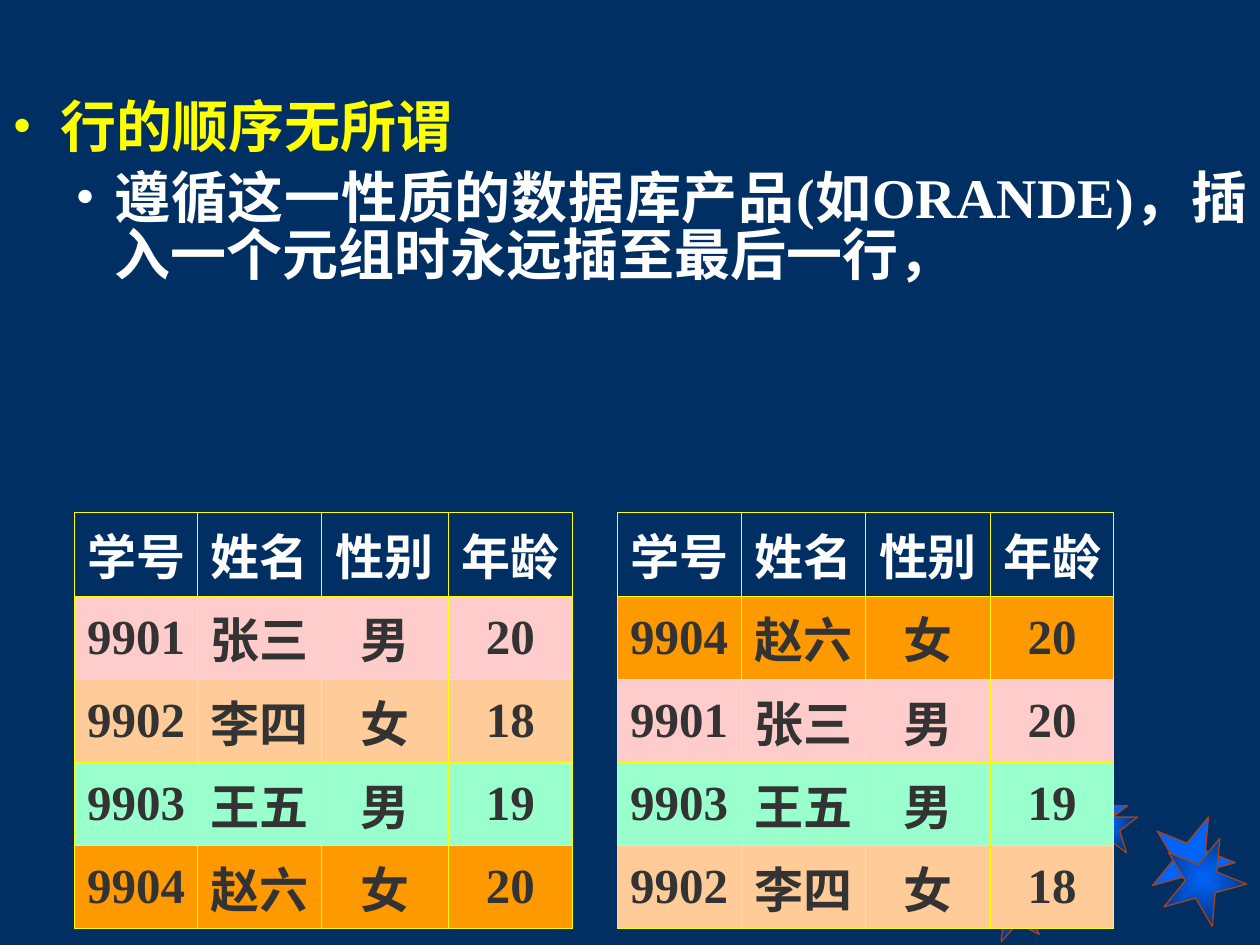
from lxml.etree import SubElement
from pptx import Presentation
from pptx.dml.color import RGBColor
from pptx.enum.shapes import MSO_SHAPE
from pptx.enum.text import MSO_ANCHOR, PP_ALIGN
from pptx.oxml.ns import qn
from pptx.util import Inches, Pt

FONT = "Times New Roman"
NAVY, YELLOW, WHITE, DARK = "003063", "FFFF00", "FFFFFF", "333333"
STAR_BLUE, STAR_NAVY, STAR_LINE = "0064F8", "002E72", "A94113"
HEADER = ("学号", "姓名", "性别", "年龄")
STUDENTS = {
    "9901": ("张三", "男", "20", "FFCCCC"),
    "9902": ("李四", "女", "18", "FFCC99"),
    "9903": ("王五", "男", "19", "99FFCC"),
    "9904": ("赵六", "女", "20", "FF9900"),
}
TABLE_TOP, ROW_HEIGHT = 4.07, 0.66
BACK_STARS = ((7.66, 6.84, 0.5, 349), (8.49, 6.22, 0.46, 0), (9.13, 6.46, 0.67, 22))
FRONT_STARS = ((7.8, 6.95, 0.5, 349), (8.57, 6.31, 0.46, 0), (9.22, 6.63, 0.67, 22))


def color(value):
    """Return the colour for a hex string."""
    return RGBColor.from_string(value)


def write_text(paragraph, text, size=28, fill=WHITE, align=PP_ALIGN.CENTER):
    """Write bold text into a paragraph."""
    paragraph.alignment = align
    run = paragraph.add_run()
    run.text = text
    run.font.name = FONT
    run.font.size = Pt(size)
    run.font.bold = True
    run.font.color.rgb = color(fill)


def add_bullet(paragraph, fill, margin, indent):
    """Give a paragraph a coloured bullet and a hanging indent."""
    properties = paragraph._p.get_or_add_pPr()
    properties.set("marL", str(Inches(margin)))
    properties.set("indent", str(Inches(indent)))
    bullet_color = SubElement(properties, qn("a:buClr"))
    SubElement(bullet_color, qn("a:srgbClr"), val=fill)
    SubElement(properties, qn("a:buFont"), typeface=FONT)
    SubElement(properties, qn("a:buChar"), char="•")


def add_body(slide):
    """Add the two bulleted statements."""
    frame = slide.shapes.add_textbox(0, Inches(0.76), Inches(10), Inches(6.74)).text_frame
    frame.word_wrap = True
    heading, detail = frame.paragraphs[0], frame.add_paragraph()
    add_bullet(heading, YELLOW, 0.38, -0.38)
    add_bullet(detail, WHITE, 0.81, -0.31)
    detail.level = 1
    detail.space_before = Pt(8)
    heading.line_spacing = detail.line_spacing = 0.85
    write_text(heading, "行的顺序无所谓", size=32, fill=YELLOW, align=PP_ALIGN.JUSTIFY)
    write_text(
        detail,
        "遵循这一性质的数据库产品(如ORANDE)，插入一个元组时永远插至最后一行，",
        size=32,
        align=PP_ALIGN.JUSTIFY,
    )


def fill_from_center(shape):
    """Fill a shape with a rectangular gradient around its centre."""
    shape.fill.gradient()
    for stop, value in zip(shape.fill.gradient_stops, (STAR_BLUE, STAR_NAVY)):
        stop.color.rgb = color(value)
    gradient = shape._element.spPr.find(qn("a:gradFill"))
    gradient.remove(gradient.find(qn("a:lin")))
    rectangle = SubElement(gradient, qn("a:path"), path="rect")
    SubElement(rectangle, qn("a:fillToRect"), l="50000", t="50000", r="50000", b="50000")


def add_star(slide, left, top, size, rotation, shaded):
    """Add one five-pointed star."""
    star = slide.shapes.add_shape(
        MSO_SHAPE.STAR_5_POINT, Inches(left), Inches(top), Inches(size), Inches(size)
    )
    star.rotation = rotation
    star.shadow.inherit = False
    star.line.color.rgb = color(STAR_LINE)
    star.line.width = Pt(0.75)
    if shaded:
        fill_from_center(star)
    else:
        star.fill.solid()
        star.fill.fore_color.rgb = color(STAR_BLUE)


def add_borders(cell):
    """Draw thin yellow lines on all sides of a cell."""
    properties = cell._tc.get_or_add_tcPr()
    for position, side in enumerate(("a:lnL", "a:lnR", "a:lnT", "a:lnB")):
        line = properties.makeelement(qn(side), {"w": str(Pt(0.45))})
        properties.insert(position, line)
        SubElement(SubElement(line, qn("a:solidFill")), qn("a:srgbClr"), val=YELLOW)


def format_cell(cell, text, text_color, fill):
    """Write and style one table cell."""
    cell.vertical_anchor = MSO_ANCHOR.MIDDLE
    if fill:
        cell.fill.solid()
        cell.fill.fore_color.rgb = color(fill)
    else:
        cell.fill.background()
    add_borders(cell)
    write_text(cell.text_frame.paragraphs[0], text, fill=text_color)


def add_student_table(slide, left, widths, numbers):
    """Add a table of students in the given order."""
    rows = [(HEADER, WHITE, None)]
    for number in numbers:
        *values, fill = STUDENTS[number]
        rows.append(((number, *values), DARK, fill))
    table = slide.shapes.add_table(
        len(rows), len(widths), Inches(left), Inches(TABLE_TOP),
        Inches(sum(widths)), Inches(ROW_HEIGHT * len(rows)),
    ).table
    table.horz_banding = False
    for column, width in zip(table.columns, widths):
        column.width = Inches(width)
    for row, (values, text_color, fill) in zip(table.rows, rows):
        row.height = Inches(ROW_HEIGHT)
        for cell, value in zip(row.cells, values):
            format_cell(cell, value, text_color, fill)


def main():
    """Build and save the slide."""
    presentation = Presentation()
    presentation.slide_width, presentation.slide_height = Inches(10), Inches(7.5)
    slide = presentation.slides.add_slide(presentation.slide_layouts[6])
    slide.background.fill.solid()
    slide.background.fill.fore_color.rgb = color(NAVY)
    for stars, shaded in ((BACK_STARS, False), (FRONT_STARS, True)):
        for star in stars:
            add_star(slide, *star, shaded)
    add_body(slide)
    add_student_table(slide, 0.59, (0.98, 0.98, 1.01, 0.98), ("9901", "9902", "9903", "9904"))
    add_student_table(slide, 4.9, (0.98, 0.99, 0.99, 0.98), ("9904", "9901", "9903", "9902"))
    presentation.save("out.pptx")


if __name__ == "__main__":
    main()
